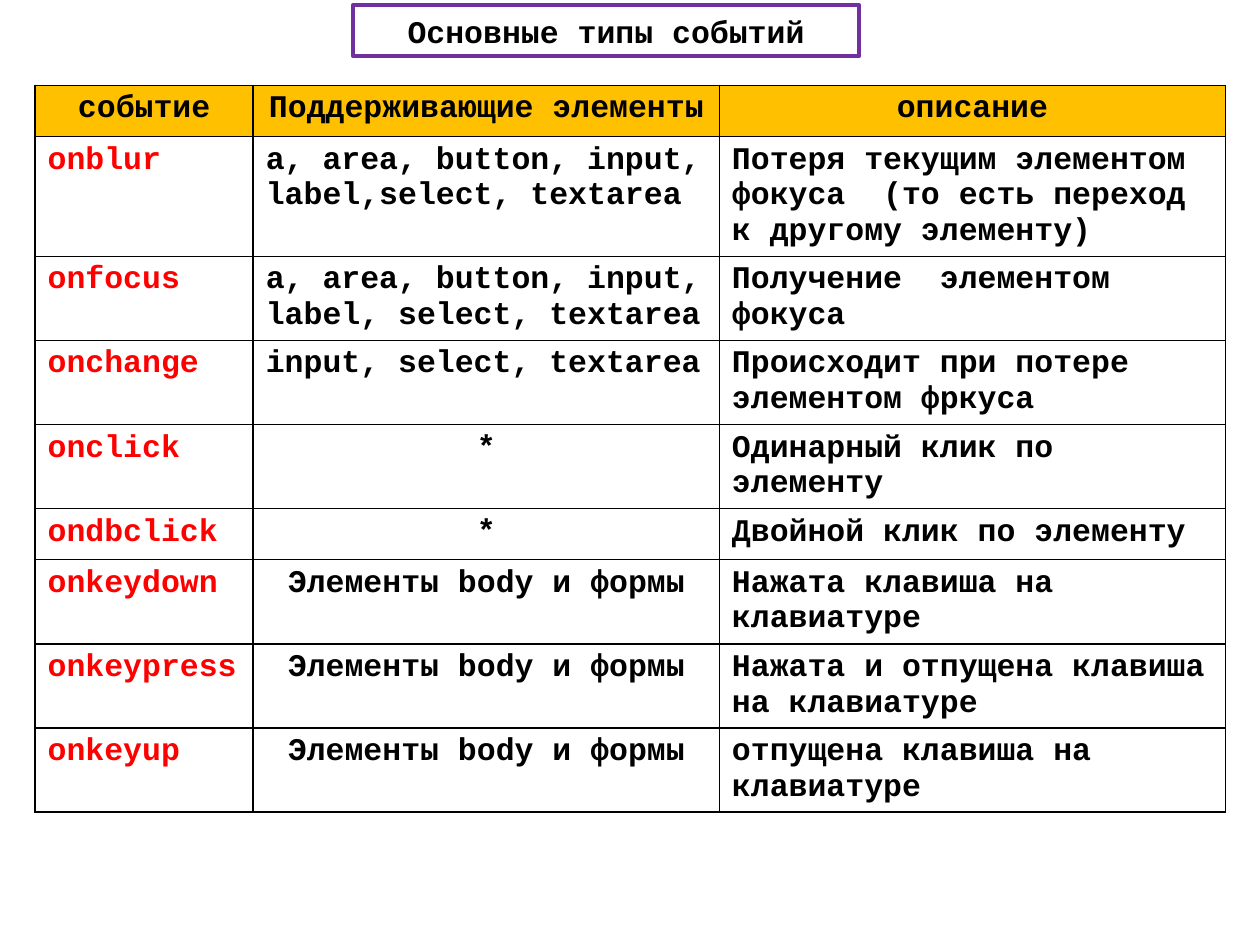
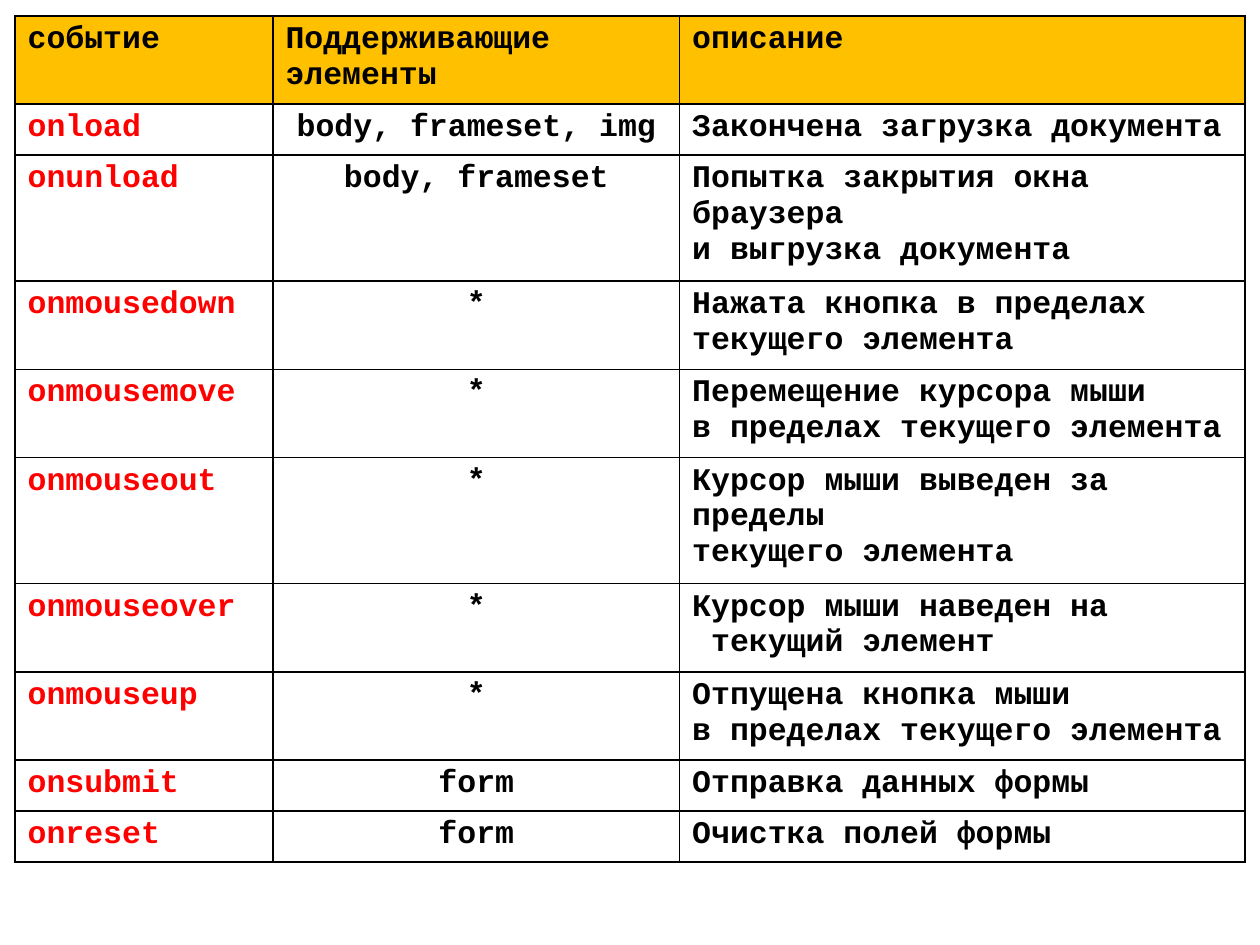
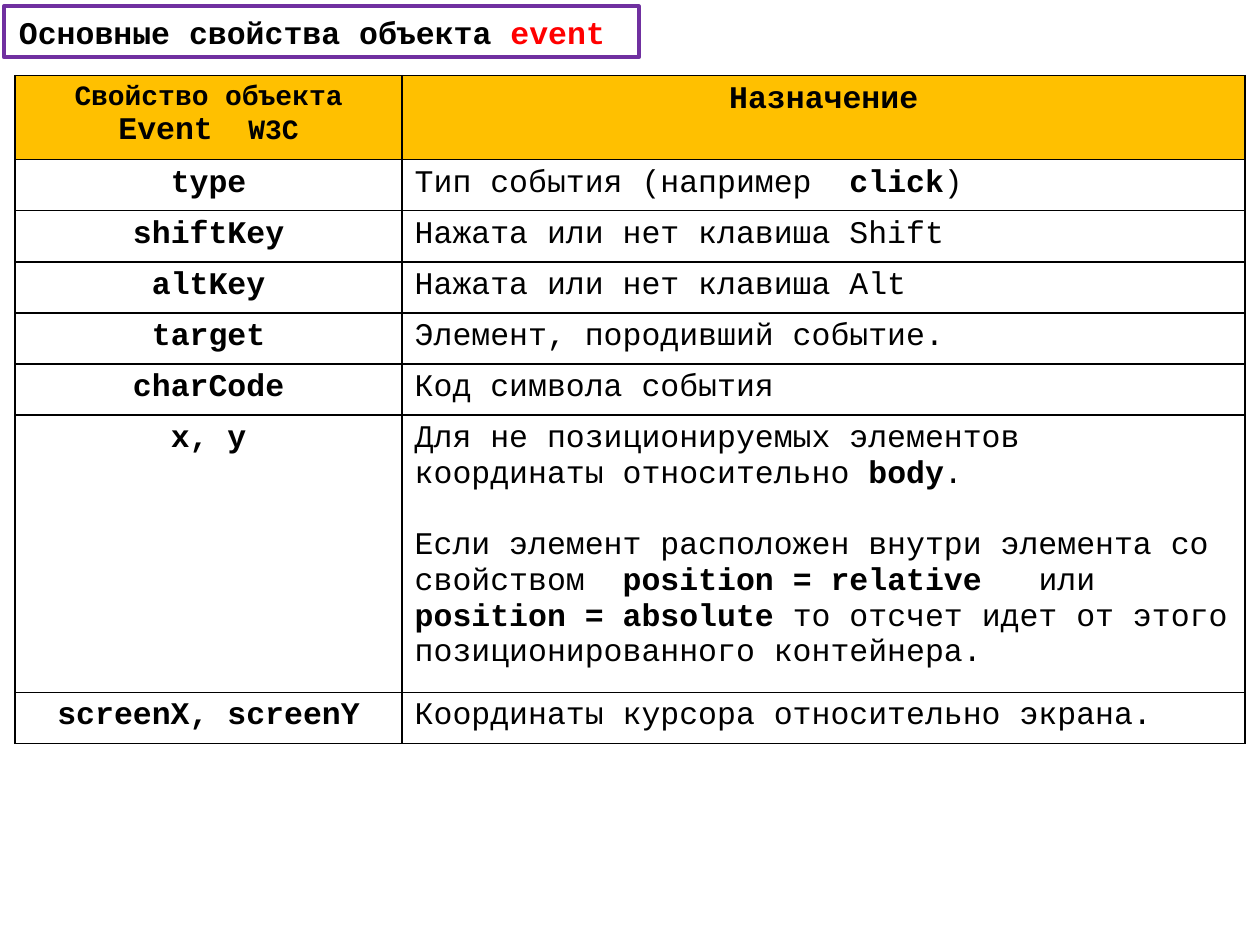
import dataclasses

import pptx
import pptx.dml.color
import pptx.enum.text
import pptx.oxml
import pptx.oxml.ns
import pptx.util

Pt = pptx.util.Pt
RGB = pptx.dml.color.RGBColor.from_string
ALIGN = pptx.enum.text.PP_ALIGN
LEFT, MID = ALIGN.LEFT, ALIGN.CENTER


@dataclasses.dataclass(frozen=True)
class Theme:
    face: str = "Courier New"
    ink: str = "000000"
    red: str = "FF0000"
    gold: str = "FFC000"
    frame: str = "7030A0"
    size: float = 18
    small: float = 16
    edge: float = 1
    rim: float = 2.25


THEME = Theme()
BASE = {"name": THEME.face, "size": THEME.size, "bold": True, "color": THEME.ink}
RED = {"color": THEME.red}
BOLD = {"bold": True}
PLAIN = {"bold": False}
SMALL = {"size": THEME.small}


def style(font, form):
    for key, value in form.items():
        if key == "color":
            font.color.rgb = RGB(value)
        else:
            setattr(font, key, Pt(value) if key == "size" else value)


def write(para, runs, align, form):
    """Fill a paragraph with a string or with strings and (text, format) pairs."""
    para.alignment = align
    for part in [runs] if isinstance(runs, str) else runs:
        text, own = (part, {}) if isinstance(part, str) else part
        run = para.add_run()
        run.text = text
        style(run.font, {**BASE, **form, **own})


def border(cell):
    props = cell._tc.get_or_add_tcPr()
    for spot, side in enumerate("LRTB"):
        line = pptx.oxml.parse_xml(
            f'<a:ln{side} {pptx.oxml.ns.nsdecls("a")} w="{Pt(THEME.edge)}">'
            f'<a:solidFill><a:srgbClr val="{THEME.ink}"/></a:solidFill></a:ln{side}>')
        props.insert(spot, line)


def fill(cell, data, align, form, gap=0):
    """Write a cell; a list holds one entry per paragraph."""
    frame = cell.text_frame
    for spot, runs in enumerate(data if isinstance(data, list) else [data]):
        para = frame.add_paragraph() if spot else frame.paragraphs[0]
        write(para, runs, align, form)
        if spot and gap:
            para.space_before = Pt(gap)


def grid(slide, left, top, cols, rows, align=MID, gap=0):
    """Draw a table from (width, align, format) columns and (height, *cells) rows."""
    wide = sum(col[0] for col in cols)
    high = sum(row[0] for row in rows)
    table = slide.shapes.add_table(
        len(rows), len(cols), Pt(left), Pt(top), Pt(wide), Pt(high)).table
    table.first_row = table.horz_banding = False
    for spot, col in enumerate(cols):
        table.columns[spot].width = Pt(col[0])
    for line, (height, *cells) in enumerate(rows):
        table.rows[line].height = Pt(height)
        for spot, data in enumerate(cells):
            cell = table.cell(line, spot)
            if line:
                cell.fill.background()
                fill(cell, data, *cols[spot][1:], gap)
            else:
                cell.fill.solid()
                cell.fill.fore_color.rgb = RGB(THEME.gold)
                fill(cell, data, align, {})
            border(cell)
    return table


def title(slide, left, top, width, height, runs):
    shape = slide.shapes.title
    box = {"left": left, "top": top, "width": width, "height": height}
    for key, value in box.items():
        setattr(shape, key, Pt(value))
    shape.line.color.rgb = RGB(THEME.frame)
    shape.line.width = Pt(THEME.rim)
    shape.text_frame.auto_size = pptx.enum.text.MSO_AUTO_SIZE.NONE
    write(shape.text_frame.paragraphs[0], runs, MID, {})


def types(slide):
    title(slide, 201.6, 2.9, 289.4, 29.1, "Основные типы событий")
    one, two, three = 29.2, 48, 68.5
    form = "Элементы body и формы"
    table = grid(
        slide, 20, 48.8,
        [(124.7, LEFT, RED), (266.4, MID, {}), (289.2, LEFT, {})],
        [
            (one, "событие", "Поддерживающие элементы", "описание"),
            (three, "onblur", "a, area, button, input, label,select, textarea",
             "Потеря текущим элементом фокуса  (то есть переход к другому элементу)"),
            (two, "onfocus", "a, area, button, input, label, select, textarea",
             "Получение  элементом фокуса"),
            (two, "onchange", "input, select, textarea",
             "Происходит при потере элементом фркуса"),
            (two, "onclick", "*", "Одинарный клик по элементу"),
            (one, "ondbclick", "*", "Двойной клик по элементу"),
            (two, "onkeydown", form, "Нажата клавиша на клавиатуре"),
            (two, "onkeypress", form, "Нажата и отпущена клавиша на клавиатуре"),
            (two, "onkeyup", form, "отпущена клавиша на клавиатуре"),
        ])
    for line in range(1, 4):
        table.cell(line, 1).text_frame.paragraphs[0].alignment = LEFT


def more(slide):
    one, two, three = 29.2, 50.4, 72
    grid(
        slide, 8.6, 9.1,
        [(147.4, LEFT, RED), (232.4, MID, {}), (323.2, LEFT, {})],
        [
            (two, "событие", "Поддерживающие элементы", "описание"),
            (one, "onload", "body, frameset, img", "Закончена загрузка документа"),
            (three, "onunload", "body, frameset",
             ["Попытка закрытия окна браузера", "и выгрузка документа"]),
            (two, "onmousedown", "*", "Нажата кнопка в пределах текущего элемента"),
            (two, "onmousemove", "*",
             ["Перемещение курсора мыши", "в пределах текущего элемента"]),
            (three, "onmouseout", "*",
             ["Курсор мыши выведен за пределы", "текущего элемента"]),
            (two, "onmouseover", "*", ["Курсор мыши наведен на", " текущий элемент"]),
            (two, "onmouseup", "*",
             ["Отпущена кнопка мыши", "в пределах текущего элемента"]),
            (one, "onsubmit", "form", "Отправка данных формы"),
            (one, "onreset", "form", "Очистка полей формы"),
        ], align=LEFT)


def props(slide):
    title(slide, 2.2, 3.6, 362.9, 29.1,
          ["Основные свойства объекта ", ("event ", RED)])
    one, two, tall = 29.2, 48, 158.4
    place = [
        ("Для не позиционируемых элементов  координаты относительно ",
         ("body", BOLD), "."),
        ("Если элемент расположен внутри элемента со свойством  ",
         ("position = relative   ", BOLD), "или", (" position = absolute ", BOLD),
         "то отсчет идет от этого позиционированного контейнера."),
    ]
    grid(
        slide, 8.6, 43.2,
        [(221.2, MID, {}), (481.8, LEFT, PLAIN)],
        [
            (two, (("Свойство объекта ", SMALL), "Event ", (" W3C", SMALL)),
             "Назначение"),
            (one, "type", ("Тип события (например  ", ("click", BOLD), ")")),
            (one, "shiftKey", "Нажата или нет клавиша Shift"),
            (one, "altKey", "Нажата или нет клавиша Alt"),
            (one, "target", "Элемент, породивший событие."),
            (one, "charCode", "Код символа события"),
            (tall, "x, y", place),
            (one, "screenX, screenY", "Координаты курсора относительно экрана."),
        ], gap=20.4)


def main():
    deck = pptx.Presentation()
    deck.slide_width, deck.slide_height = Pt(720), Pt(540)
    bare, headed = deck.slide_layouts[6], deck.slide_layouts[5]
    for draw, layout in ((types, headed), (more, bare), (props, headed)):
        draw(deck.slides.add_slide(layout))
    deck.save("out.pptx")


if __name__ == "__main__":
    main()
